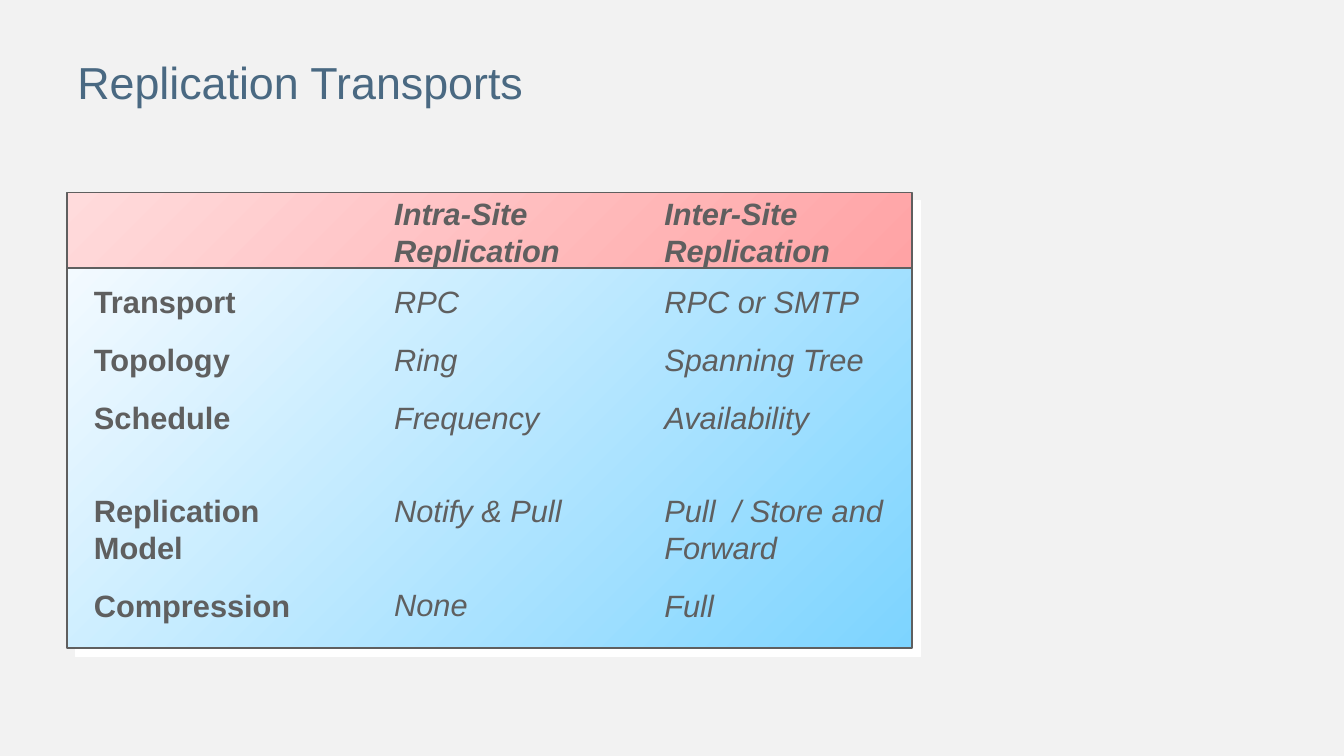
from pptx import Presentation
from pptx.dml.color import RGBColor
from pptx.enum import shapes, text
from pptx.oxml import parse_xml
from pptx.oxml.ns import nsdecls
from pptx.util import Pt

COLORS = {
    "background": "F2F2F2", "title": "4A6982", "ink": "5F5F5F", "shadow": "FFFFFF",
    "head_from": "FFDBDC", "head_to": "FFA3A5",
    "body_from": "F3FAFF", "body_to": "7DD4FF",
}
FONT = "Arial"
LINE = 25.3  # height of one 22 pt line
GAP = 15     # space between rows

# Left offset, body width, heading width, heading, bold labels, entries.
# Each entry: text and the number of empty lines its row leaves below it.
COLUMNS = [
    (12, 165, 0, None, True,
     [("Transport", 0), ("Topology", 0), ("Schedule", 1),
      ("Replication\vModel", 0), ("Compression", 0)]),
    (226.5, 142.5, 142.5, "Intra-Site\vReplication", False,
     [("RPC", 0), ("Ring", 0), ("Frequency", 1),
      ("Notify & Pull", 1), ("None", 0)]),
    (419.5, 175.5, 148.5, "Inter-Site\vReplication", False,
     [("RPC or SMTP", 0), ("Spanning Tree", 0), ("Availability", 1),
      ("Pull  / Store and Forward", 0), ("Full", 0)]),
]


def rgb(name):
    return RGBColor.from_string(COLORS[name])


def format_runs(p, size, color, bold=False, italic=False):
    for r in p.runs:
        r.font.name, r.font.size = FONT, Pt(size)
        r.font.bold, r.font.italic = bold, italic
        r.font.color.rgb = rgb(color)


def add_title(s, left, top, width, height):
    title = s.shapes.title
    title.left, title.top = Pt(left), Pt(top)
    title.width, title.height = Pt(width), Pt(height)
    tf = title.text_frame
    tf.text = "Replication Transports"
    tf.auto_size = text.MSO_AUTO_SIZE.NONE
    tf.vertical_anchor = text.MSO_ANCHOR.MIDDLE
    p = tf.paragraphs[0]
    p.alignment = text.PP_ALIGN.LEFT
    p.line_spacing = 0.9
    format_runs(p, 32, "title")


def add_panel(s, left, top, width, height, part):
    sp = s.shapes.add_shape(shapes.MSO_SHAPE.RECTANGLE,
                            Pt(left), Pt(top), Pt(width), Pt(height))
    sp.fill.gradient()
    sp.fill.gradient_angle = 315  # towards the lower right
    for stop, end, position in zip(sp.fill.gradient_stops, ("from", "to"), (0, 1)):
        stop.color.rgb = rgb(f"{part}_{end}")
        stop.position = position
    sp.line.color.rgb = rgb("ink")
    sp.line.width = Pt(1)
    # Hard offset shadow
    sp.shadow.inherit = False
    effects = sp._element.spPr.find(
        "{http://schemas.openxmlformats.org/drawingml/2006/main}effectLst")
    effects.append(parse_xml(
        f'<a:outerShdw {nsdecls("a")} dist="{Pt(8.5)}" dir="2700000" '
        f'algn="ctr" rotWithShape="0"><a:srgbClr val="{COLORS["shadow"]}"/>'
        '</a:outerShdw>'))


def add_entries(s, left, top, width, height, entries, bold, italic):
    box = s.shapes.add_textbox(Pt(left), Pt(top), Pt(width), Pt(height))
    tf = box.text_frame
    tf.word_wrap = True
    for i, (entry, empty_lines) in enumerate(entries):
        p = tf.paragraphs[0] if i == 0 else tf.add_paragraph()
        p.text = entry
        p.space_before = Pt(GAP if i else 0)
        p.space_after = Pt(empty_lines * LINE)
        format_runs(p, 22, "ink", bold, italic)


def add_comparison(s, left, top, width, height):
    head = 54
    # Panels
    add_panel(s, left, top, width, head + 1.5, "head")
    add_panel(s, left, top + head, width, height - head, "body")
    # Columns of text
    for x, body_width, head_width, heading, labels, entries in COLUMNS:
        add_entries(s, left + x, top + head + 7, body_width, 259,
                    entries, labels, not labels)
        if heading:
            add_entries(s, left + x, top - 2, head_width, 58.5,
                        [(heading, 0)], True, True)


def main():
    prs = Presentation()
    prs.slide_width, prs.slide_height = Pt(960), Pt(540)
    s = prs.slides.add_slide(prs.slide_layouts[5])
    s.background.fill.solid()
    s.background.fill.fore_color.rgb = rgb("background")
    add_title(s, 48, 9.5, 792, 102)
    add_comparison(s, 48, 137.5, 603.5, 325.5)
    prs.save("out.pptx")


if __name__ == "__main__":
    main()
